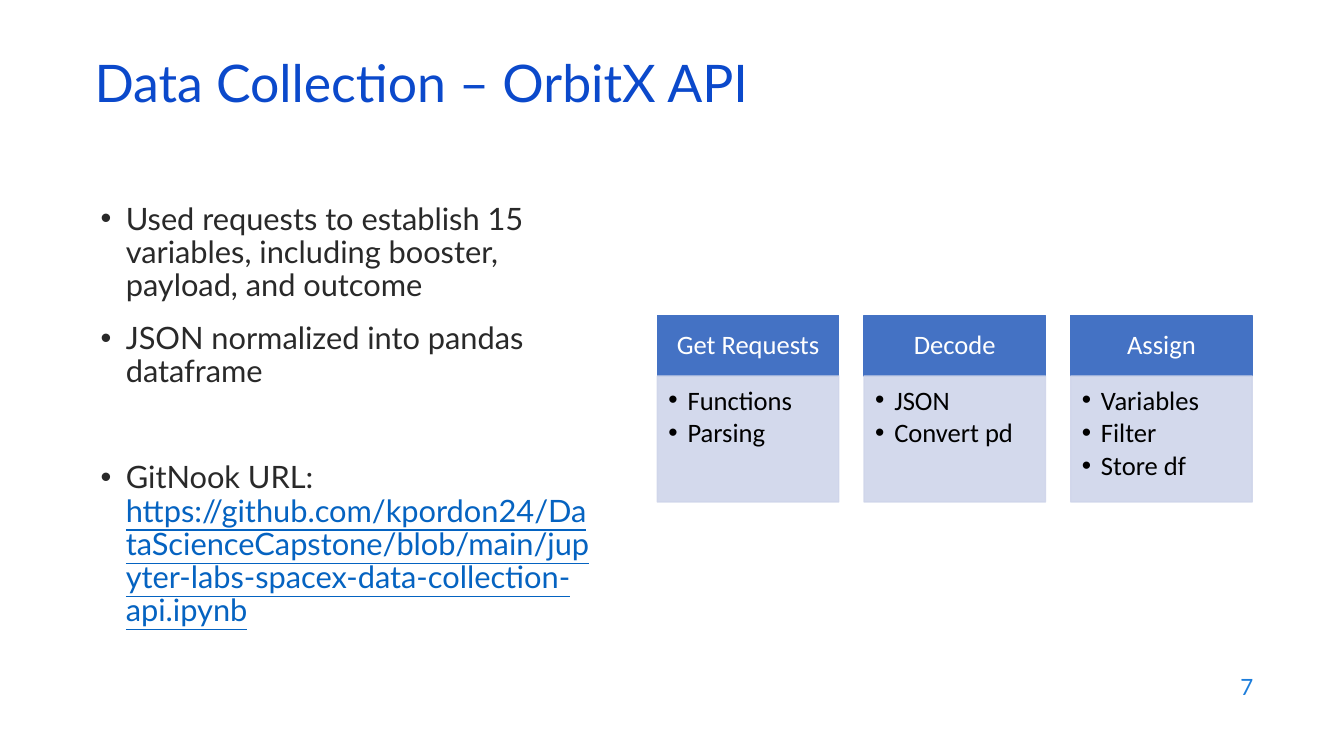
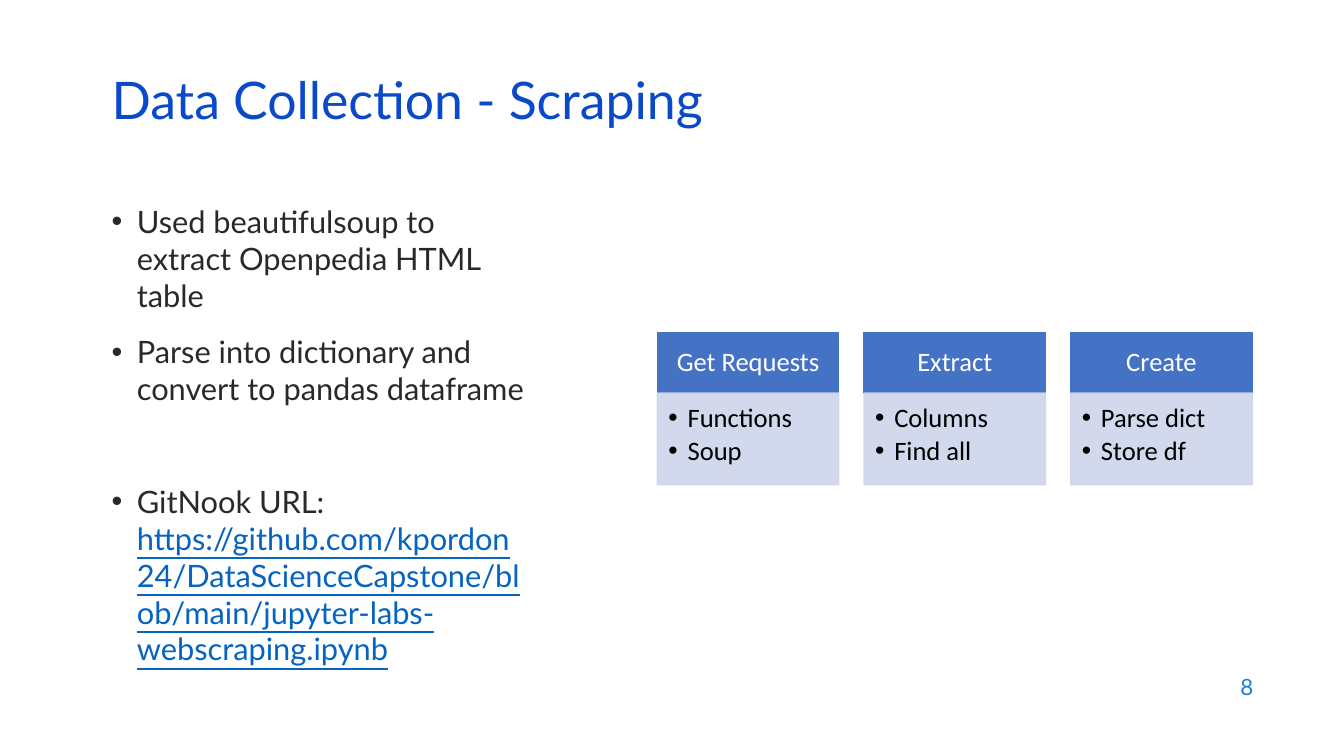
from dataclasses import dataclass

from pptx import Presentation
from pptx.dml.color import RGBColor
from pptx.enum.shapes import MSO_SHAPE
from pptx.enum.text import MSO_ANCHOR, PP_ALIGN
from pptx.oxml.ns import qn
from pptx.util import Emu, Pt
from lxml.etree import SubElement

EMU_PER_PX = 9144
PAGE_WIDTH, PAGE_HEIGHT = 1333, 750

TITLE_BLUE = RGBColor(0x0B, 0x49, 0xCB)
NUMBER_BLUE = RGBColor(0x1C, 0x7D, 0xDB)
LINK_BLUE = RGBColor(0x05, 0x63, 0xC1)
HEADER_BLUE = RGBColor(0x44, 0x72, 0xC4)
PANEL_BLUE = RGBColor(0xCF, 0xD5, 0xEA)
BODY_GREY = RGBColor(0x29, 0x29, 0x29)
WHITE = RGBColor(0xFF, 0xFF, 0xFF)
BLACK = RGBColor(0x00, 0x00, 0x00)

STEP_LEFT, STEP_WIDTH, STEP_GAP, HEADER_HEIGHT = 652, 180, 25, 60


@dataclass(frozen=True)
class Area:
    left: int
    top: int
    width: int
    height: int


@dataclass(frozen=True)
class TextStyle:
    font: str
    size: int
    color: RGBColor
    underline: bool = False


@dataclass(frozen=True)
class Step:
    heading: str
    items: tuple[str, ...]


@dataclass(frozen=True)
class Content:
    number: int
    title: str
    title_area: Area
    body_area: Area
    line_spacing: float
    points: tuple[str, ...]
    link_gap: int
    link_lines: tuple[str, ...]
    steps_top: int
    panel_height: int
    steps: tuple[Step, ...]


TITLE_STYLE = TextStyle("Lato", 37, TITLE_BLUE)
NUMBER_STYLE = TextStyle("Lato", 16, NUMBER_BLUE)
BODY_STYLE = TextStyle("Lato", 22, BODY_GREY)
LINK_STYLE = TextStyle("Lato", 22, LINK_BLUE, True)
HEADER_STYLE = TextStyle("Calibri", 19, WHITE)
ITEM_STYLE = TextStyle("Calibri", 19, BLACK)

CONTENTS = (
    Content(
        number=7,
        title="Data Collection – OrbitX API",
        title_area=Area(84, 59, 1150, 60),
        body_area=Area(90, 197, 507, 462),
        line_spacing=0.9,
        points=(
            "Used requests to establish 15 variables, including booster, payload, and outcome",
            "JSON normalized into pandas dataframe",
        ),
        link_gap=52,
        link_lines=(
            "https://github.com/kpordon24/Da",
            "taScienceCapstone/blob/main/jup",
            "yter-labs-spacex-data-collection-",
            "api.ipynb",
        ),
        steps_top=313,
        panel_height=125,
        steps=(
            Step("Get Requests", ("Functions", "Parsing")),
            Step("Decode", ("JSON", "Convert pd")),
            Step("Assign", ("Variables", "Filter", "Store df")),
        ),
    ),
    Content(
        number=8,
        title="Data Collection - Scraping",
        title_area=Area(101, 76, 1150, 60),
        body_area=Area(101, 196, 430, 417),
        line_spacing=1.0,
        points=(
            "Used beautifulsoup to extract Openpedia HTML table",
            "Parse into dictionary and convert to pandas dataframe",
        ),
        link_gap=54,
        link_lines=(
            "https://github.com/kpordon",
            "24/DataScienceCapstone/bl",
            "ob/main/jupyter-labs-",
            "webscraping.ipynb",
        ),
        steps_top=330,
        panel_height=91,
        steps=(
            Step("Get Requests", ("Functions", "Soup")),
            Step("Extract", ("Columns", "Find all")),
            Step("Create", ("Parse dict", "Store df")),
        ),
    ),
)


def px(length: int) -> Emu:
    return Emu(length * EMU_PER_PX)


def place(area: Area) -> tuple[Emu, ...]:
    return px(area.left), px(area.top), px(area.width), px(area.height)


def add_span(para, text: str, style: TextStyle) -> None:
    span = para.add_run()
    span.text = text
    span.font.name = style.font
    span.font.size = Pt(style.size)
    span.font.color.rgb = style.color
    if style.underline:
        span.font.underline = True


def add_bullet(para, indent: int) -> None:
    properties = para._p.get_or_add_pPr()
    properties.set("marL", str(px(indent)))
    properties.set("indent", str(-px(indent)))
    font = SubElement(properties, qn("a:buFont"))
    font.set("typeface", "Arial")
    SubElement(properties, qn("a:buChar")).set("char", "•")


def next_paragraph(frame, index: int):
    return frame.add_paragraph() if index else frame.paragraphs[0]


def set_insets(frame, left: int, top: int, right: int, bottom: int) -> None:
    frame.margin_left, frame.margin_top = px(left), px(top)
    frame.margin_right, frame.margin_bottom = px(right), px(bottom)


def add_text_box(page, area: Area, anchor=MSO_ANCHOR.TOP):
    frame = page.shapes.add_textbox(*place(area)).text_frame
    frame.word_wrap = True
    frame.vertical_anchor = anchor
    return frame


def add_line_of_text(page, area: Area, text: str, style: TextStyle,
                     align=PP_ALIGN.LEFT, spacing: float = 1.0) -> None:
    para = add_text_box(page, area, MSO_ANCHOR.MIDDLE).paragraphs[0]
    para.alignment = align
    para.line_spacing = spacing
    add_span(para, text, style)


def add_body(page, content: Content) -> None:
    frame = add_text_box(page, content.body_area)
    for index, text in enumerate((*content.points, "GitNook URL: ")):
        para = next_paragraph(frame, index)
        para.line_spacing = content.line_spacing
        if index:
            para.space_before = Pt(14)
        add_bullet(para, 25)
        add_span(para, text, BODY_STYLE)
    para.space_before = Pt(content.link_gap)
    for line in content.link_lines:
        para.add_line_break()
        add_span(para, line, LINK_STYLE)


def add_rectangle(page, area: Area, color: RGBColor):
    box = page.shapes.add_shape(MSO_SHAPE.RECTANGLE, *place(area))
    box.shadow.inherit = False
    box.fill.solid()
    box.fill.fore_color.rgb = color
    box.line.color.rgb = color
    box.line.width = Pt(1)
    box.text_frame.word_wrap = True
    return box


def set_opacity(box, percent: int) -> None:
    for color in list(box.element.spPr.iter(qn("a:srgbClr"))):
        SubElement(color, qn("a:alpha")).set("val", str(percent * 1000))


def add_step(page, step: Step, left: int, top: int, panel_height: int) -> None:
    header = add_rectangle(page, Area(left, top, STEP_WIDTH, HEADER_HEIGHT), HEADER_BLUE)
    frame = header.text_frame
    frame.vertical_anchor = MSO_ANCHOR.MIDDLE
    set_insets(frame, 15, 8, 15, 8)
    para = frame.paragraphs[0]
    para.alignment = PP_ALIGN.CENTER
    para.line_spacing = 0.9
    add_span(para, step.heading, HEADER_STYLE)

    panel_area = Area(left, top + HEADER_HEIGHT, STEP_WIDTH, panel_height)
    panel = add_rectangle(page, panel_area, PANEL_BLUE)
    set_opacity(panel, 90)
    frame = panel.text_frame
    frame.vertical_anchor = MSO_ANCHOR.TOP
    set_insets(frame, 11, 11, 15, 17)
    for index, item in enumerate(step.items):
        para = next_paragraph(frame, index)
        para.alignment = PP_ALIGN.LEFT
        para.line_spacing = 0.9
        para.space_after = Pt(3)
        add_bullet(para, 19)
        add_span(para, item, ITEM_STYLE)


def add_page(deck, content: Content) -> None:
    page = deck.slides.add_slide(deck.slide_layouts[6])
    add_line_of_text(page, content.title_area, content.title, TITLE_STYLE, spacing=0.7)
    add_body(page, content)
    for index, step in enumerate(content.steps):
        left = STEP_LEFT + index * (STEP_WIDTH + STEP_GAP)
        add_step(page, step, left, content.steps_top, content.panel_height)
    add_line_of_text(page, Area(953, 659, 300, 44), str(content.number),
                     NUMBER_STYLE, align=PP_ALIGN.RIGHT)


def main() -> None:
    deck = Presentation()
    deck.slide_width, deck.slide_height = px(PAGE_WIDTH), px(PAGE_HEIGHT)
    for content in CONTENTS:
        add_page(deck, content)
    deck.save("out.pptx")


if __name__ == "__main__":
    main()
